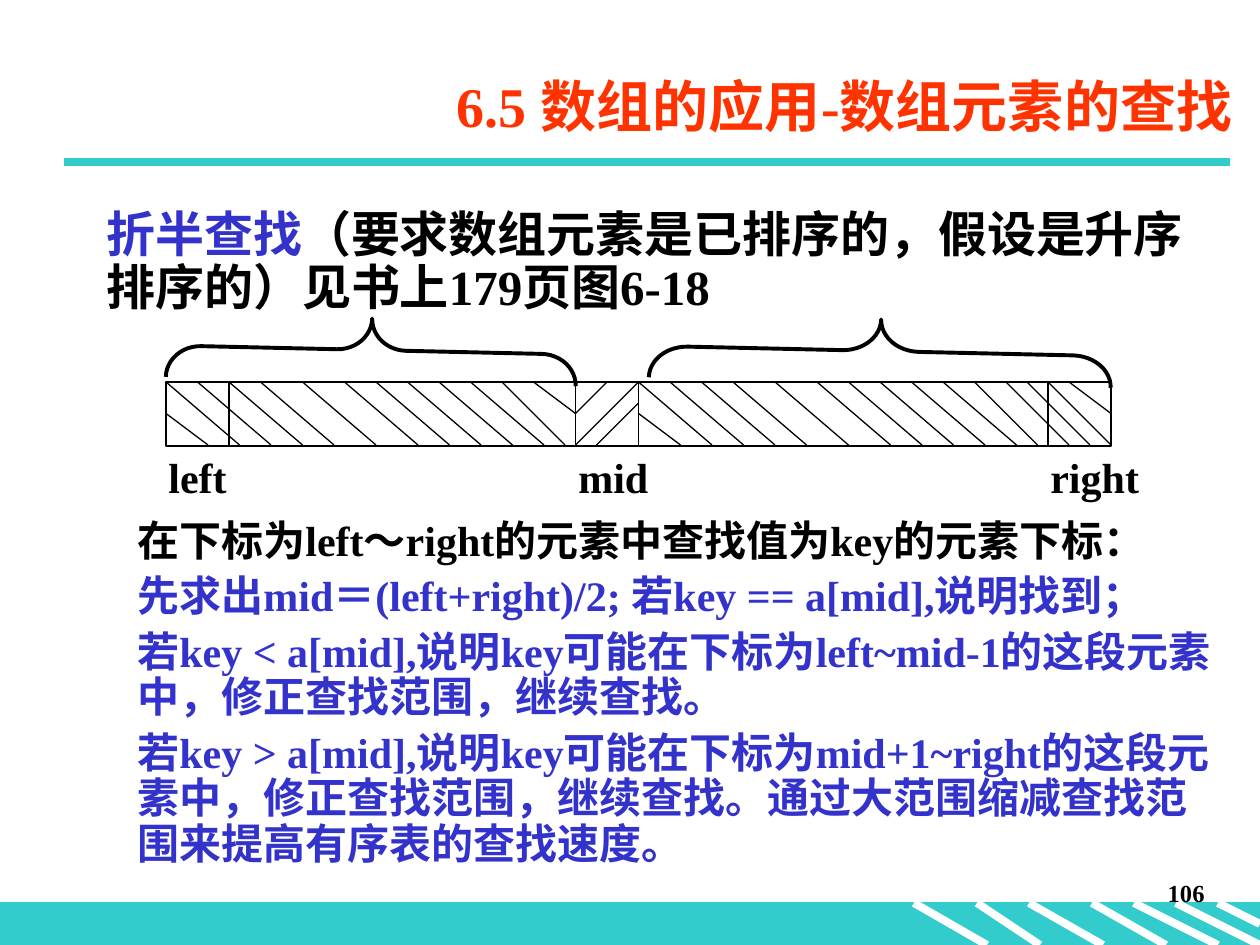
from lxml.etree import SubElement
from pptx import Presentation
from pptx.dml.color import RGBColor
from pptx.enum.shapes import MSO_CONNECTOR as Connector, MSO_SHAPE as Shape
from pptx.enum.text import MSO_ANCHOR as Anchor, MSO_AUTO_SIZE as AutoSize, PP_ALIGN as Align
from pptx.oxml.ns import qn
from pptx.util import Emu, Pt

COLORS = {"teal": "33CCCC", "white": "FFFFFF", "black": "000000",
          "blue": "3333CC", "red": "FF3300"}
FONT = "Times New Roman"

# Content: each paragraph is (runs, format), each run is (text, colour)
TITLE = [([("6.5 数组的应用-数组元素的查找", "red")], {"alignment": Align.RIGHT})]
PAGE_NUMBER = [([("106", "black")], {"alignment": Align.RIGHT})]
TOPIC = [([("折半查找", "blue"),
           ("（要求数组元素是已排序的，假设是升序排序的）见书上179页图6-18", "black")],
          {"line_spacing": 0.9})]
STEP = {"line_spacing": 0.9, "space_before": Pt(6)}
STEPS = [
    ([("在下标为left～right的元素中查找值为key的元素下标：", "black")], {}),
    ([("先求出mid＝(left+right)/2; 若key == a[mid],说明找到；", "blue")], STEP),
    ([("若key < a[mid],说明key可能在下标为left~mid-1的这段元素中，"
       "修正查找范围，继续查找。", "blue")], STEP),
    ([("若key > a[mid],说明key可能在下标为mid+1~right的这段元素中，"
       "修正查找范围，继续查找。通过大范围缩减查找范围来提高有序表的查找速度。", "blue")], STEP),
]
# Label, left edge, width
LABELS = [("left", 156, 92), ("mid", 566, 136), ("right", 1038, 136)]
# Left, top, width, height before rotation, curve depth
BRACES = [(340, 145, 63, 410, 0.55), (849, 120, 63, 462, 0.61)]

# Footer stripes: x at the top, x at the bottom, y at the bottom
STRIPES = [(914, 987, 945), (977, 1040, 945), (1029, 1103, 945), (1092, 1166, 945),
           (1134, 1218, 945), (1176, 1260, 945), (1218, 1260, 924)]

# Array bar, in steps of 1/12 inch from its top left corner
BAR_LEFT, BAR_TOP, STEP_PX = 166, 382, 10.5
BAR_WIDTH, CELL = 90, 6
DIVIDERS = [6, 39, 45, 84]
SEGMENTS = [0, 45]
LONG_HATCHES = [0, 3, 6, 9, 13, 17, 20, 23, 26, 29]
HATCHES = [(0, 3, 4, 6)] + [(x, 0, x + 7, CELL) for x in LONG_HATCHES] + [(32, 0, 38, CELL)]
END_HATCHES = [(35, 0, 39, 3), (80, 0, 86, CELL), (82, 0, 88, CELL),
               (84, 0, 90, CELL), (86, 0, 90, 3)]
MID_HATCHES = [(42, 0, 39, 3), (45, 2, 41, CELL), (45, 0, 39, CELL)]


def px(value):
    return Emu(round(value * 914400 / 126))


def color(name):
    return RGBColor.from_string(COLORS[name])


def apply(target, values):
    for name, value in values.items():
        setattr(target, name, value)


def write(box, paragraphs, size, anchor=Anchor.TOP):
    frame = box.text_frame
    apply(frame, {"word_wrap": True, "auto_size": AutoSize.NONE, "vertical_anchor": anchor})
    for index, (runs, layout) in enumerate(paragraphs):
        para = frame.add_paragraph() if index else frame.paragraphs[0]
        apply(para, {"alignment": Align.LEFT, "space_before": Pt(0), **layout})
        for text, tint in runs:
            span = para.add_run()
            span.text = text
            apply(span.font, {"name": FONT, "size": Pt(size), "bold": True})
            span.font.color.rgb = color(tint)


def add_text(slide, area, paragraphs, size):
    write(slide.shapes.add_textbox(*map(px, area)), paragraphs, size)


def set_line(shape, tint, width):
    shape.line.color.rgb = color(tint)
    shape.line.width = Pt(width)


def add_line(slide, ends, tint, width):
    line = slide.shapes.add_connector(Connector.STRAIGHT, *map(px, ends))
    set_line(line, tint, width)
    SubElement(line._element.spPr, qn("a:effectLst"))


def add_shape(slide, kind, area, tint, width, fill=None):
    shape = slide.shapes.add_shape(kind, *map(px, area))
    shape.shadow.inherit = False
    if fill:
        shape.fill.solid()
        shape.fill.fore_color.rgb = color(fill)
    else:
        shape.fill.background()
    set_line(shape, tint, width)
    return shape


def add_bar_line(slide, x1, y1, x2, y2):
    ends = (BAR_LEFT + x1 * STEP_PX, BAR_TOP + y1 * STEP_PX,
            BAR_LEFT + x2 * STEP_PX, BAR_TOP + y2 * STEP_PX)
    add_line(slide, ends, "black", 0.75)


def main():
    deck = Presentation()
    deck.slide_width, deck.slide_height = px(1260), px(945)
    page = deck.slides.add_slide(deck.slide_layouts[5])

    # Footer band and title rule
    add_shape(page, Shape.RECTANGLE, (0, 903, 1260, 42), "teal", 0.75, "teal")
    for top_x, bottom_x, bottom_y in STRIPES:
        add_line(page, (top_x, 903, bottom_x, bottom_y), "white", 4.5)
    add_line(page, (64, 162, 1230, 162), "teal", 4.5)
    add_text(page, (955, 872, 262, 63), PAGE_NUMBER, 14)

    # Title
    title = page.shapes.title
    apply(title, {"left": px(174), "top": px(56), "width": px(1071), "height": px(99)})
    write(title, TITLE, 32, Anchor.MIDDLE)

    # Array bar with cells and hatching
    add_shape(page, Shape.RECTANGLE,
              (BAR_LEFT, BAR_TOP, BAR_WIDTH * STEP_PX, 64), "black", 0.75)
    for x in DIVIDERS:
        add_bar_line(page, x, 0, x, CELL)
    for start in SEGMENTS:
        for x1, y1, x2, y2 in HATCHES:
            add_bar_line(page, start + x1, y1, start + x2, y2)
    for ends in END_HATCHES + MID_HATCHES:
        add_bar_line(page, *ends)

    # Braces over both halves
    for *area, depth in BRACES:
        brace = add_shape(page, Shape.RIGHT_BRACE, area, "black", 2.25)
        brace.adjustments[0] = depth
        brace.rotation = 271.3

    # Labels and explanation
    for text, left, width in LABELS:
        add_text(page, (left, 445, width, 63), [([(text, "black")], {})], 24)
    add_text(page, (94, 204, 1113, 118), TOPIC, 28)
    add_text(page, (125, 508, 1102, 367), STEPS, 24)

    deck.save("out.pptx")


if __name__ == "__main__":
    main()
